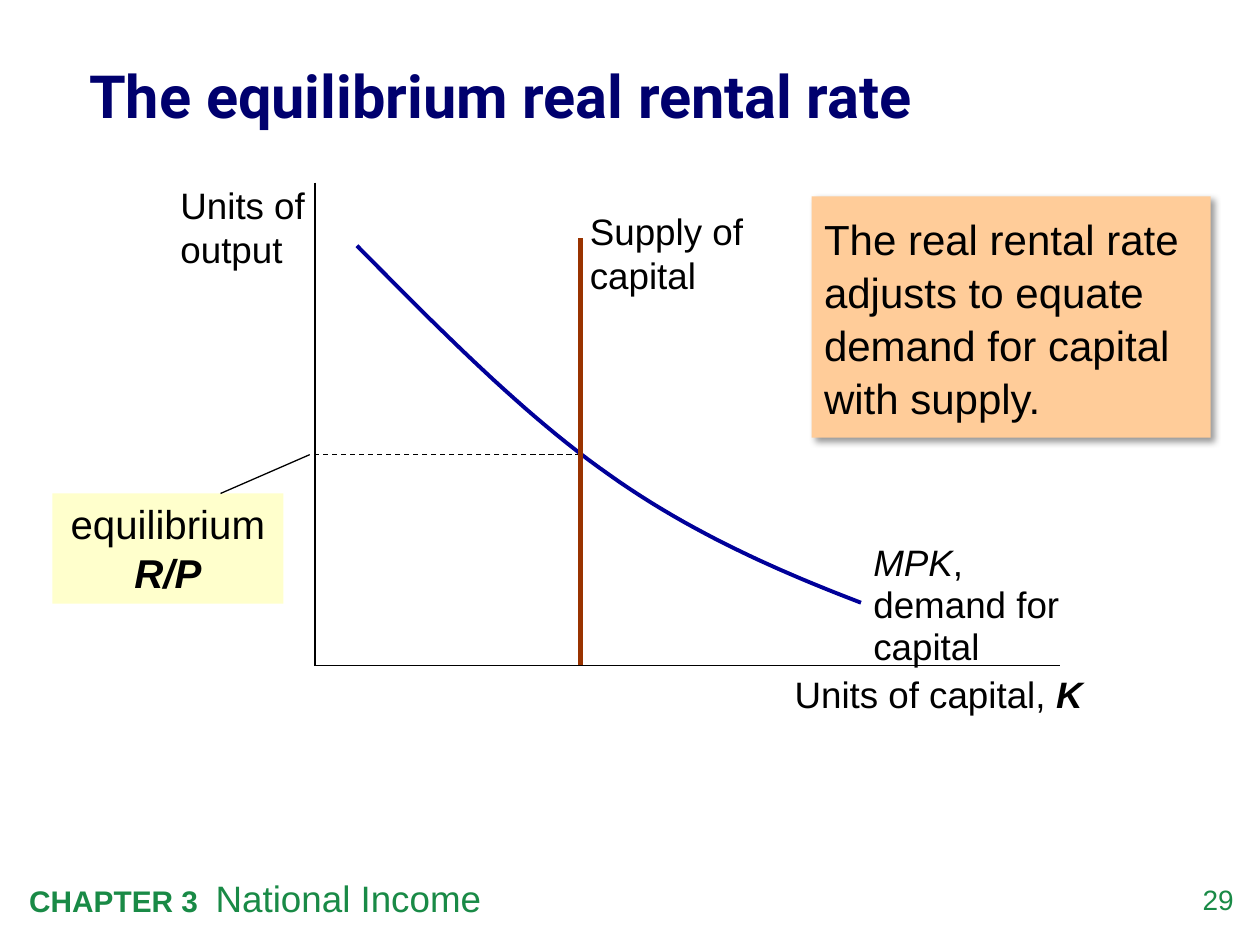
from dataclasses import dataclass

from lxml.etree import SubElement
from pptx import Presentation
from pptx.dml.color import RGBColor
from pptx.enum.dml import MSO_LINE
from pptx.enum.shapes import MSO_CONNECTOR, MSO_SHAPE
from pptx.enum.text import MSO_ANCHOR, MSO_AUTO_SIZE, PP_ALIGN
from pptx.oxml.ns import qn
from pptx.util import Inches, Pt


@dataclass(frozen=True)
class Theme:
    """Colours, fonts and type sizes of the slide."""
    ink: str = "000000"
    title: str = "00006E"
    footer: str = "198A46"
    demand: str = "000099"
    supply: str = "993300"
    note: str = "FFCC99"
    callout: str = "FFFFCC"
    body_font: str = "Arial"
    title_font: str = "Roboto"
    title_size: int = 34
    note_size: int = 24
    callout_size: int = 23
    label_size: int = 21
    chapter_size: int = 17
    page_size: int = 16


class Deck:
    """Draws on one slide, with places given on a 12 by 9 grid."""

    def __init__(self, prs, theme):
        self.theme = theme
        self.col, self.row = prs.slide_width / 12, prs.slide_height / 9
        self.s = prs.slides.add_slide(prs.slide_layouts[5])

    def point(self, x, y):
        return round(x * self.col), round(y * self.row)

    def place(self, x, y, w, h):
        return *self.point(x, y), *self.point(w, h)

    def set_text(self, sp, runs, size, color=None, font=None,
                 align=PP_ALIGN.LEFT, spacing=1.0, anchor=MSO_ANCHOR.TOP,
                 inset=None, tab=None):
        """Fill a shape with one paragraph of (text, style) runs."""
        tf = sp.text_frame
        tf.word_wrap, tf.auto_size = True, MSO_AUTO_SIZE.NONE
        tf.vertical_anchor = anchor
        if inset is not None:
            tf.margin_left = tf.margin_right = inset
            tf.margin_top = tf.margin_bottom = inset
        p = tf.paragraphs[0]
        p.alignment, p.line_spacing, p.space_before = align, spacing, Pt(0)
        if tab:
            tabs = SubElement(p._p.get_or_add_pPr(), qn("a:tabLst"))
            SubElement(tabs, qn("a:tab"), pos=str(Inches(tab)), algn="l")
        p.font.name, p.font.size = font or self.theme.body_font, Pt(size)
        p.font.color.rgb = RGBColor.from_string(color or self.theme.ink)
        for text, style in runs:
            r = p.add_run()
            r.text = text
            r.font.bold = style.get("bold")
            r.font.italic = style.get("italic")
            r.font.size = style.get("size")

    def title(self, text, box):
        sp = self.s.shapes.title
        sp.left, sp.top, sp.width, sp.height = self.place(*box)
        self.set_text(sp, [(text, {"bold": True})], self.theme.title_size,
                      self.theme.title, self.theme.title_font, spacing=1.05,
                      anchor=MSO_ANCHOR.MIDDLE, inset=0)

    def text(self, runs, box, size=None, **style):
        sp = self.s.shapes.add_textbox(*self.place(*box))
        self.set_text(sp, runs, size or self.theme.label_size, **style)

    def panel(self, runs, box, fill, size, shadow=False, **style):
        sp = self.s.shapes.add_shape(MSO_SHAPE.RECTANGLE, *self.place(*box))
        sp.shadow.inherit = False
        sp.fill.solid()
        sp.fill.fore_color.rgb = RGBColor.from_string(fill)
        sp.line.fill.background()
        if shadow:
            effects = sp._element.spPr.find(qn("a:effectLst"))
            outer = SubElement(effects, qn("a:outerShdw"), blurRad=str(Pt(4)),
                               dist=str(Pt(3)), dir="2700000", algn="tl")
            shade = SubElement(outer, qn("a:srgbClr"), val=self.theme.ink)
            SubElement(shade, qn("a:alpha"), val="40000")
        self.set_text(sp, runs, size, **style)

    def line(self, start, end, color=None, width=0.75, dash=None):
        sp = self.s.shapes.add_connector(
            MSO_CONNECTOR.STRAIGHT, *self.point(*start), *self.point(*end))
        sp.line.color.rgb = RGBColor.from_string(color or self.theme.ink)
        sp.line.width = Pt(width)
        if dash:
            sp.line.dash_style = dash
        SubElement(sp._element.spPr, qn("a:effectLst"))

    def curve(self, knots, color, width, steps=24):
        """Draw chained cubic Bézier segments as one open outline."""
        points = []
        for i in range(0, len(knots) - 1, 3):
            for t in (n / steps for n in range(1, steps + 1)):
                weights = ((1 - t) ** 3, 3 * t * (1 - t) ** 2,
                           3 * t * t * (1 - t), t ** 3)
                points.append(self.point(*(
                    sum(w * k[axis] for w, k in zip(weights, knots[i:i + 4]))
                    for axis in (0, 1))))
        fb = self.s.shapes.build_freeform(*self.point(*knots[0]))
        fb.add_line_segments(points, close=False)
        sp = fb.convert_to_shape()
        sp.shadow.inherit = False
        sp.fill.background()
        sp.line.color.rgb = RGBColor.from_string(color)
        sp.line.width = Pt(width)


def main():
    prs = Presentation()
    prs.slide_width, prs.slide_height = Inches(10), Inches(7.5)
    theme = Theme()
    deck = Deck(prs, theme)
    symbol = {"bold": True, "italic": True}
    axis_x, axis_y, capital, rate = 3, 6.34, 5.53, 4.33

    deck.text([("29", {})], (11.09, 8.41, 0.66, 0.38), theme.page_size,
              color=theme.footer, align=PP_ALIGN.RIGHT, inset=0)
    deck.text([("CHAPTER 3\t", {"bold": True}),
               ("National Income", {"size": Pt(theme.label_size)})],
              (0.16, 8.28, 9.82, 0.54), theme.chapter_size,
              color=theme.footer, tab=1.48)
    deck.title("The equilibrium real rental rate", (0.85, 0.32, 10.19, 1.13))
    deck.panel([("The real rental rate adjusts to equate demand for capital "
                 "with supply.", {})], (7.73, 1.87, 3.8, 2.3), theme.note,
               theme.note_size, shadow=True, spacing=1.05,
               anchor=MSO_ANCHOR.MIDDLE)

    deck.line((axis_x, 1.74), (axis_x, axis_y))
    deck.line((axis_x, axis_y), (10.1, axis_y))
    deck.text([("Units of output", {})], (1.6, 1.68, 1.6, 0.96))
    deck.text([("Units of capital, ", {}), ("K", symbol)],
              (7.45, 6.37, 3.14, 0.52), spacing=0.95)

    deck.curve([(3.4, 2.34), (4.2, 3.15), (5, 3.96), (5.8, 4.52),
                (6.6, 5.09), (7.47, 5.46), (8.2, 5.74)], theme.demand, 2.25)
    deck.text([("MPK", {"italic": True}), (", demand for capital", {})],
              (8.2, 5.11, 2.4, 1.32), spacing=0.95)

    deck.line((capital, rate), (axis_x, rate), dash=MSO_LINE.DASH)
    deck.panel([("equilibrium ", {}), ("R/P", symbol)], (0.5, 4.7, 2.2, 1.05),
               theme.callout, theme.callout_size, align=PP_ALIGN.CENTER)
    deck.line((2.95, rate), (2.1, 4.7))

    deck.line((capital, 2.27), (capital, 6.33), theme.supply, 2.75)
    deck.text([("Supply of capital", {})], (5.5, 1.93, 1.9, 0.96))

    prs.save("out.pptx")


if __name__ == "__main__":
    main()
